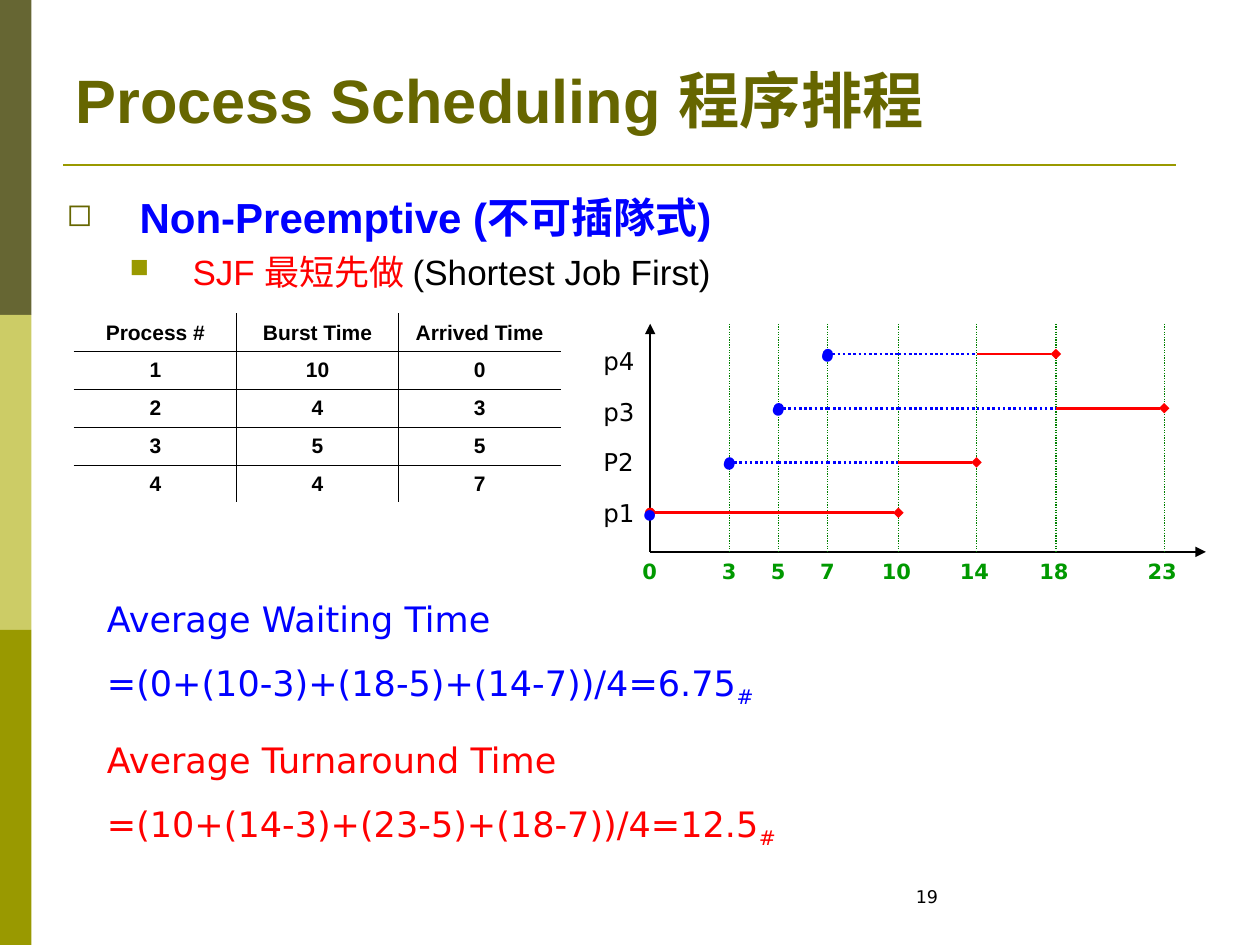
from lxml import etree
from pptx import Presentation
from pptx.dml.color import RGBColor
from pptx.enum.dml import MSO_LINE_DASH_STYLE as Dash
from pptx.enum.shapes import MSO_CONNECTOR, MSO_SHAPE
from pptx.enum.text import MSO_ANCHOR, MSO_AUTO_SIZE, PP_ALIGN
from pptx.oxml import parse_xml
from pptx.oxml.ns import nsdecls, qn
from pptx.util import Inches, Pt

COLORS = {
    "dark_olive": "666633", "pale_olive": "CCCC66", "olive": "999900",
    "title": "666600", "blue": "0000FF", "red": "FF0000", "black": "000000",
    "grid": "008000", "tick": "009900",
}
ARIAL, DEJAVU = "Arial", "DejaVu Sans"

PROCESS_ROWS = [
    ("Process #", "Burst Time", "Arrived Time"),
    ("1", "10", "0"),
    ("2", "4", "3"),
    ("3", "5", "5"),
    ("4", "4", "7"),
]
TIME_X = {0: 5.16, 3: 5.79, 5: 6.18, 7: 6.57, 10: 7.13, 14: 7.75, 18: 8.38, 23: 9.24}
AXIS_TOP, AXIS_Y, AXIS_END = 2.57, 4.38, 9.57
# height of the bar, arrival, start, finish
JOBS = [(4.07, 0, 0, 10), (3.67, 3, 10, 14), (3.24, 5, 18, 23), (2.81, 7, 14, 18)]


def rgb(name):
    return RGBColor.from_string(COLORS[name])


def style_run(run, size, color, font=DEJAVU, bold=False):
    run.font.size = Pt(size)
    run.font.name = font
    run.font.bold = bold
    run.font.color.rgb = rgb(color)


def add_text(slide, box, lines, before=0, spacing=None, grow=True):
    """Each line is a list of (text, size, color, font, bold) runs."""
    frame = slide.shapes.add_textbox(*map(Inches, box)).text_frame
    frame.word_wrap = True
    frame.auto_size = MSO_AUTO_SIZE.SHAPE_TO_FIT_TEXT if grow else MSO_AUTO_SIZE.NONE
    for index, line in enumerate(lines):
        paragraph = frame.add_paragraph() if index else frame.paragraphs[0]
        paragraph.space_before = Pt(before)
        if spacing:
            paragraph.line_spacing = spacing
        for text, *style in line:
            run = paragraph.add_run()
            run.text = text
            style_run(run, *style)
    return frame


def add_bullet(paragraph, char, color, margin, indent):
    props = paragraph._p.get_or_add_pPr()
    props.set("marL", str(Inches(margin)))
    props.set("indent", str(Inches(indent)))
    ns = nsdecls("a")
    props.append(parse_xml(f'<a:buClr {ns}><a:srgbClr val="{COLORS[color]}"/></a:buClr>'))
    props.append(parse_xml(f'<a:buSzPct {ns} val="75000"/>'))
    props.append(parse_xml(f'<a:buChar {ns} char="{char}"/>'))


def add_line(slide, start, end, color, width, dash=None, head=None, tail=None):
    line = slide.shapes.add_connector(MSO_CONNECTOR.STRAIGHT, *map(Inches, (*start, *end)))
    line.line.color.rgb = rgb(color)
    line.line.width = Pt(width)
    if dash:
        line.line.dash_style = dash
    outline = line.line._get_or_add_ln()
    for tag, kind in (("a:headEnd", head), ("a:tailEnd", tail)):
        if kind:
            etree.SubElement(outline, qn(tag)).set("type", kind)
    etree.SubElement(line._element.spPr, qn("a:effectLst"))


def add_side_bands(slide):
    for index, color in enumerate(("dark_olive", "pale_olive", "olive")):
        band = slide.shapes.add_shape(
            MSO_SHAPE.RECTANGLE, 0, Inches(2.5 * index), Inches(0.25), Inches(2.5))
        band.shadow.inherit = False
        band.fill.solid()
        band.fill.fore_color.rgb = rgb(color)
        band.line.fill.background()


def add_headings(slide):
    title = add_text(slide, (0.5, 0.44, 9.15, 0.69),
                     [[("Process Scheduling 程序排程", 35, "title", ARIAL, True)]], grow=False)
    title.vertical_anchor = MSO_ANCHOR.BOTTOM
    body = add_text(slide, (0.43, 1.47, 9.14, 5.35), [
        [("Non-Preemptive (不可插隊式)", 24, "blue", ARIAL, True)],
        [("SJF 最短先做 ", 20, "red", ARIAL), ("(Shortest Job First)", 20, "black", ARIAL)],
    ], grow=False)
    method, algorithm = body.paragraphs
    method.space_before, algorithm.space_before = Pt(6), Pt(5)
    algorithm.level = 1
    add_bullet(method, "◻", "title", 0.58, -0.58)
    add_bullet(algorithm, "■", "olive", 1, -0.5)


def set_borders(cell, sides):
    props = cell._tc.get_or_add_tcPr()
    for index, side in enumerate(sides):
        props.insert(index, parse_xml(
            f'<a:ln{side} {nsdecls("a")} w="5715"><a:solidFill>'
            f'<a:srgbClr val="{COLORS["black"]}"/></a:solidFill></a:ln{side}>'))


def add_process_table(slide):
    rows, cols = len(PROCESS_ROWS), len(PROCESS_ROWS[0])
    table = slide.shapes.add_table(
        rows, cols, *map(Inches, (0.59, 2.49, 3.86, 1.5))).table
    table.first_row = table.horz_banding = False
    for r, values in enumerate(PROCESS_ROWS):
        for c, value in enumerate(values):
            cell = table.cell(r, c)
            cell.fill.background()
            cell.vertical_anchor = MSO_ANCHOR.MIDDLE
            cell.text_frame.text = value
            paragraph = cell.text_frame.paragraphs[0]
            paragraph.alignment = PP_ALIGN.CENTER
            paragraph.space_before = Pt(3)
            style_run(paragraph.runs[0], 12, "black", ARIAL, True)
            inner = {"L": c > 0, "R": c < cols - 1, "T": r > 0, "B": r < rows - 1}
            set_borders(cell, [side for side, drawn in inner.items() if drawn])


def add_time_axes(slide):
    origin = (TIME_X[0], AXIS_Y)
    add_line(slide, origin, (TIME_X[0], AXIS_TOP), "black", 0.75, tail="triangle")
    add_line(slide, origin, (AXIS_END, AXIS_Y), "black", 0.75, tail="triangle")
    add_text(slide, (4.69, 2.65, 0.57, 1.59),
             [[(name, 14, "black")] for name in ("p4", "p3", "P2", "p1")],
             before=8.8, spacing=1.2)
    for time, x in TIME_X.items():
        if time:
            add_line(slide, (x, AXIS_TOP), (x, AXIS_Y), "grid", 0.75, Dash.ROUND_DOT)
        offset, width = (0.16, 0.32) if time < 10 else (0.23, 0.55)
        add_text(slide, (x - offset, AXIS_Y, width, 0.3),
                 [[(str(time), 12, "tick", DEJAVU, True)]], before=7.5)


def add_job(slide, y, arrival, start, finish):
    """Draw one job between its time marks: dotted while waiting, solid while running."""
    marks = [time for time in TIME_X if arrival <= time <= finish]
    for begin, end in zip(marks, marks[1:]):
        waiting = begin < start
        add_line(slide, (TIME_X[begin], y), (TIME_X[end], y),
                 "blue" if waiting else "red", 1.5,
                 dash=Dash.ROUND_DOT if waiting else None,
                 head="oval" if begin == arrival else None,
                 tail="diamond" if end == finish else None)
    add_text(slide, (TIME_X[arrival] - 0.15, y - 0.11, 0.71, 0.24),
             [[("●", 8, "blue")]], before=5)


def add_average(slide, top, name, formula, color):
    frame = add_text(slide, (0.75, top, 6.38, 0.99), [
        [(name, 20, color)],
        [(formula, 20, color), ("#", 20, color)],
    ], before=12.5)
    end_mark = frame.paragraphs[1].runs[1]
    end_mark._r.get_or_add_rPr().set("baseline", "-25000")


def main():
    prs = Presentation()
    prs.slide_width, prs.slide_height = Inches(10), Inches(7.5)
    slide = prs.slides.add_slide(prs.slide_layouts[6])
    add_side_bands(slide)
    add_line(slide, (0.5, 1.31), (9.33, 1.31), "olive", 1.5)
    add_headings(slide)
    add_process_table(slide)
    add_time_axes(slide)
    for job in JOBS:
        add_job(slide, *job)
    add_average(slide, 4.69, "Average Waiting Time",
                "=(0+(10-3)+(18-5)+(14-7))/4=6.75", "blue")
    add_average(slide, 5.81, "Average Turnaround Time",
                "=(10+(14-3)+(23-5)+(18-7))/4=12.5", "red")
    add_text(slide, (7.17, 6.98, 2.33, 0.35), [[("19", 10, "black")]], grow=False)
    prs.save("out.pptx")


if __name__ == "__main__":
    main()
